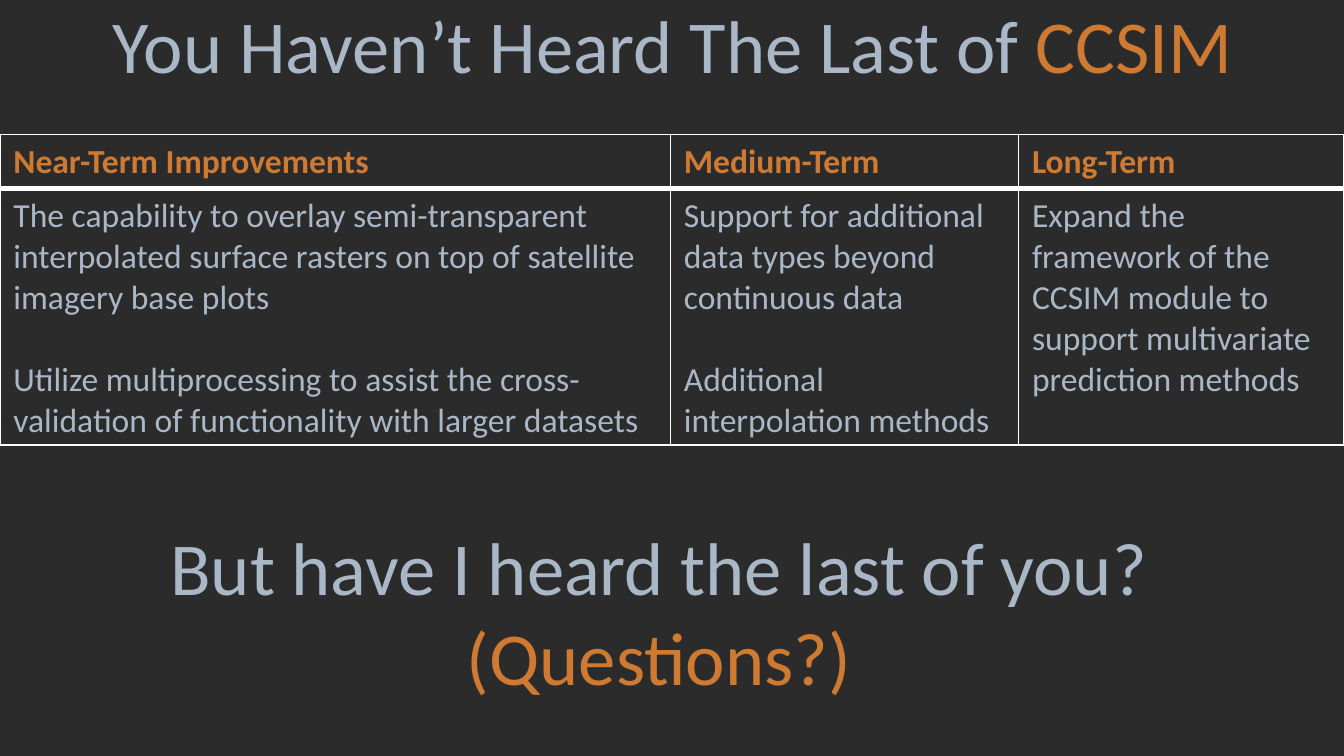
from dataclasses import dataclass

from lxml.etree import SubElement
from pptx import Presentation
from pptx.dml.color import RGBColor as Color
from pptx.enum.text import MSO_ANCHOR as Anchor, MSO_AUTO_SIZE as AutoSize, PP_ALIGN as Align
from pptx.oxml.ns import qn
from pptx.util import Cm, Pt


@dataclass(frozen=True)
class Theme:
    background: str = "2B2B2B"
    text: str = "A9B7C7"
    accent: str = "CE7A32"
    border: str = "FFFFFF"
    font: str = "Calibri"
    headline_size: int = 40
    table_size: int = 18
    border_width: int = 1
    header_rule: int = 3
    paragraph_gap: int = 22


class SlideBuilder:
    def __init__(self, deck, theme):
        self.theme = theme
        self.slide = deck.slides.add_slide(deck.slide_layouts[5])
        fill = self.slide.background.fill
        fill.solid()
        fill.fore_color.rgb = Color.from_string(theme.background)

    def style(self, span, size, color, bold=False):
        font = span.font
        font.name, font.size, font.bold = self.theme.font, Pt(size), bold
        font.color.rgb = Color.from_string(color)

    def headline(self, box, lines, alignments):
        """Fill a box with lines, each a list of (text, color) spans."""
        frame = box.text_frame
        frame.word_wrap = False
        frame.auto_size = AutoSize.SHAPE_TO_FIT_TEXT
        frame.vertical_anchor = Anchor.TOP
        frame.text = "\n".join("" for _ in lines)
        for para, spans, alignment in zip(frame.paragraphs, lines, alignments):
            para.alignment = alignment
            for text, color in spans:
                span = para.add_run()
                span.text = text
                self.style(span, self.theme.headline_size, color)

    def title(self, left, top, width, height, spans):
        box = self.slide.shapes.title
        box.left, box.top, box.width, box.height = map(Cm, (left, top, width, height))
        self.headline(box, [spans], [Align.LEFT])

    def text_box(self, left, top, width, height, lines, alignments):
        box = self.slide.shapes.add_textbox(*map(Cm, (left, top, width, height)))
        self.headline(box, lines, alignments)

    def cell_borders(self, cell, is_header):
        theme = self.theme
        thick_side = "lnB" if is_header else "lnT"
        properties = cell._tc.get_or_add_tcPr()
        for side in ("lnL", "lnR", "lnT", "lnB"):
            width = theme.header_rule if side == thick_side else theme.border_width
            line = SubElement(properties, qn(f"a:{side}"), w=str(Pt(width)))
            fill = SubElement(line, qn("a:solidFill"))
            SubElement(fill, qn("a:srgbClr"), val=theme.border)

    def table(self, left, top, column_widths, row_heights, rows):
        theme = self.theme
        frame = self.slide.shapes.add_table(
            len(rows), len(column_widths), Cm(left), Cm(top),
            Cm(sum(column_widths)), Cm(sum(row_heights)))
        table = frame.table
        for column, width in zip(table.columns, column_widths):
            column.width = Cm(width)
        for index, (row, height, texts) in enumerate(zip(table.rows, row_heights, rows)):
            row.height = Cm(height)
            is_header = index == 0
            color = theme.accent if is_header else theme.text
            for cell, text in zip(row.cells, texts):
                self.cell_borders(cell, is_header)
                cell.fill.solid()
                cell.fill.fore_color.rgb = Color.from_string(theme.background)
                cell.text_frame.text = text
                for number, para in enumerate(cell.text_frame.paragraphs):
                    if number:
                        para.space_before = Pt(theme.paragraph_gap)
                    for span in para.runs:
                        self.style(span, theme.table_size, color, is_header)


def main():
    deck = Presentation()
    deck.slide_width, deck.slide_height = Cm(25.4), Cm(14.29)
    theme = Theme()
    page = SlideBuilder(deck, theme)

    page.title(1.88, -0.15, 21.89, 1.96, [
        ("You Haven’t Heard The Last of ", theme.text), ("CCSIM", theme.accent)])

    page.table(0, 2.54, [12.67, 6.58, 6.15], [1.03, 4.84], [
        ["Near-Term Improvements", "Medium-Term", "Long-Term"],
        ["The capability to overlay semi-transparent interpolated surface rasters "
         "on top of satellite imagery base plots\n"
         "Utilize multiprocessing to assist the cross-validation of functionality "
         "with larger datasets",
         "Support for additional data types beyond continuous data\n"
         "Additional interpolation methods",
         "Expand the framework of the CCSIM module to support multivariate "
         "prediction methods"],
    ])

    page.text_box(2.97, 9.73, 19.43, 3.68, [
        [("But have I heard the last of you?", theme.text)],
        [("(Questions?)", theme.accent)],
    ], [Align.LEFT, Align.CENTER])

    deck.save("out.pptx")


if __name__ == "__main__":
    main()
